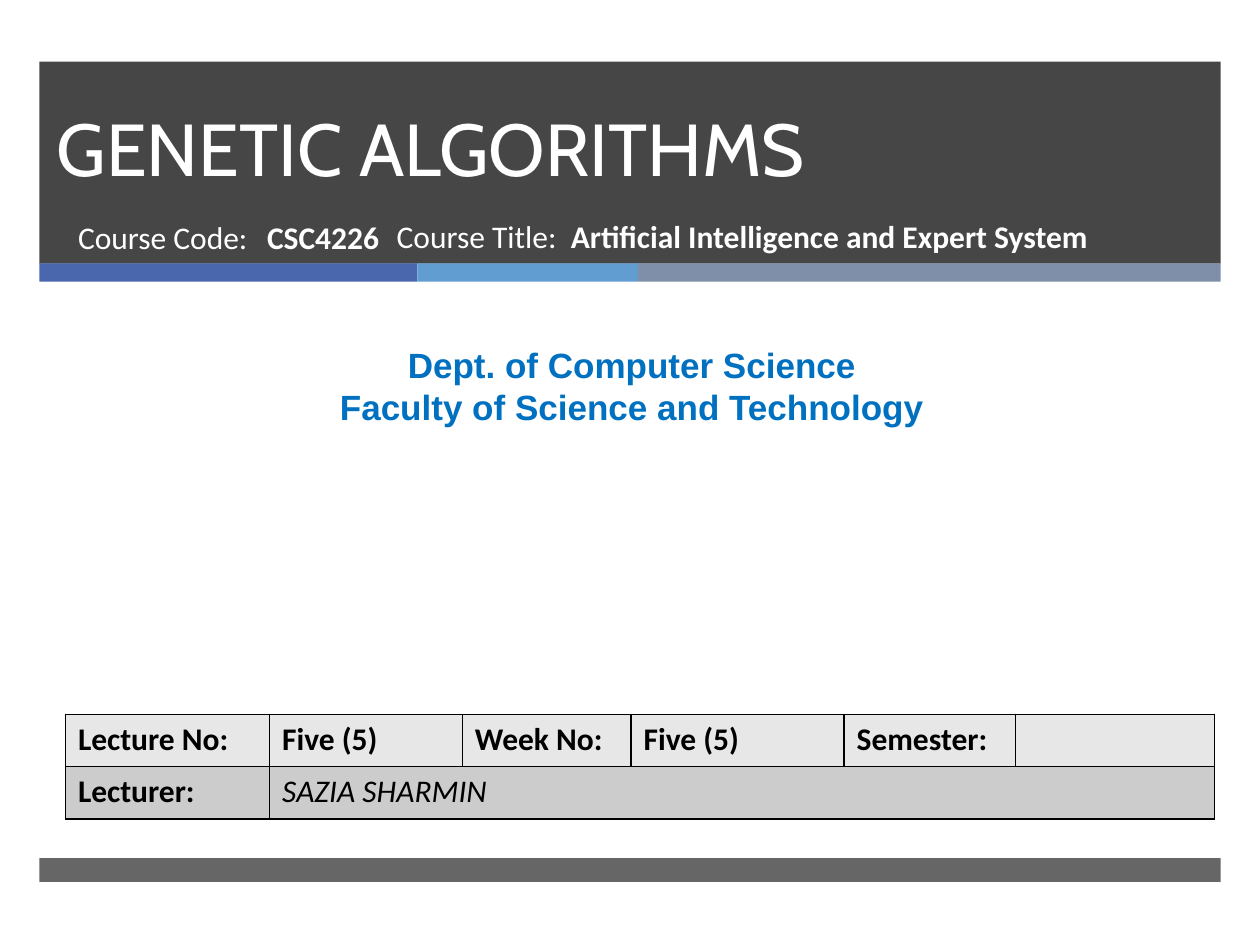
from lxml import etree
from pptx import Presentation
from pptx import util as u
from pptx.dml.color import RGBColor
from pptx.enum import shapes, text
from pptx.oxml import ns

Pt = u.Pt
WHITE, BLACK, CHARCOAL, BLUE = "FFFFFF", "000000", "262626", "0070C0"


def paint(target, color):
    if hasattr(target, "solid"):
        target.solid()
        target = target.fore_color
    else:
        target = target.color
    target.rgb = RGBColor.from_string(color)


def write(paragraph, words, font, size, color, bold=False, italic=False):
    run = paragraph.add_run()
    run.text = words
    run.font.name, run.font.size = font, Pt(size)
    run.font.bold, run.font.italic = bold, italic
    paint(run.font, color)


deck = Presentation()
deck.slide_width, deck.slide_height = Pt(720), Pt(540)
slide = deck.slides.add_slide(deck.slide_layouts[0])
paint(slide.background.fill, WHITE)

bands = [
    (22.5, 35.2, 675, 115.5, CHARCOAL, 85),
    (22.5, 150.5, 216, 10.5, "4A66AC", 100),
    (238.5, 150.5, 126, 10.5, "629DD1", 100),
    (364.5, 150.5, 333, 10.5, "7F8FA9", 100),
    (22.5, 490.3, 675, 13.7, CHARCOAL, 70),
]
for left, top, width, height, color, opacity in bands:
    band = slide.shapes.add_shape(
        shapes.MSO_SHAPE.RECTANGLE, Pt(left), Pt(top), Pt(width), Pt(height))
    band.shadow.inherit = False
    band.line.fill.background()
    paint(band.fill, color)
    if opacity < 100:
        tint = next(band.element.iter(ns.qn("a:srgbClr")))
        etree.SubElement(tint, ns.qn("a:alpha"), val=str(opacity * 1000))

heading, course_code = slide.placeholders
for holder in (heading, course_code):
    slide.shapes.element.append(holder.element)
heading.left, heading.top, heading.width, heading.height = Pt(25.2), Pt(27.4), Pt(615), Pt(85.7)
course_code.left, course_code.top = Pt(37.4), Pt(121)
course_code.width, course_code.height = Pt(219.6), Pt(38.2)
course_title = slide.shapes.add_textbox(Pt(219.6), Pt(120.4), Pt(411.8), Pt(38.2))
department = slide.shapes.add_textbox(Pt(5.8), Pt(193), Pt(710.6), Pt(55.4))

for box in (heading, course_code, course_title, department):
    box.text_frame.word_wrap = True
    box.text_frame.auto_size = text.MSO_AUTO_SIZE.NONE
    box.text_frame.vertical_anchor = text.MSO_ANCHOR.TOP

heading.text_frame.vertical_anchor = text.MSO_ANCHOR.BOTTOM
heading_line = heading.text_frame.paragraphs[0]
heading_line.alignment = text.PP_ALIGN.LEFT
heading_line.line_spacing = Pt(46)
write(heading_line, "GENETIC ALGORITHMS", "Cabin", 42, WHITE)

course_facts = [
    (course_code, "Course Code:", "CSC4226", 104.7),
    (course_title, "Course Title:", "Artificial Intelligence and Expert System", 99.5),
]
for box, label, value, stop in course_facts:
    line = box.text_frame.paragraphs[0]
    line.alignment = text.PP_ALIGN.LEFT
    line.space_before = Pt(0)
    tabs = etree.SubElement(line._p.get_or_add_pPr(), ns.qn("a:tabLst"))
    etree.SubElement(tabs, ns.qn("a:tab"), pos=str(Pt(stop)), algn="l")
    write(line, label + "\t", "Calibri", 18, WHITE)
    write(line, value, "Calibri", 18, WHITE, bold=True)

for index, words in enumerate(["Dept. of Computer Science", "Faculty of Science and Technology"]):
    frame = department.text_frame
    line = frame.add_paragraph() if index else frame.paragraphs[0]
    line.alignment = text.PP_ALIGN.CENTER
    write(line, words, "Arial", 20, BLUE, bold=True)

lecture_rows = [
    ["Lecture No:", "Five (5)", "Week No:", "Five (5)", "Semester:", ""],
    ["Lecturer:", "SAZIA SHARMIN", "", "", "", ""],
]
row_fills = ["E7E7E7", "CCCCCC"]
column_widths = [116.7, 110.1, 96.5, 121.7, 97.9, 113.7]
lecture_info = slide.shapes.add_table(
    2, 6, Pt(37.4), Pt(408.2), Pt(sum(column_widths)), Pt(59.8)).table
lecture_info.first_row = lecture_info.horz_banding = False
for column, width in zip(lecture_info.columns, column_widths):
    column.width = Pt(width)
lecture_info.cell(1, 1).merge(lecture_info.cell(1, 5))

for r, row in enumerate(lecture_rows):
    for c, words in enumerate(row):
        cell = lecture_info.cell(r, c)
        properties = cell._tc.get_or_add_tcPr()
        for side in ("lnL", "lnR", "lnT", "lnB"):
            border = etree.SubElement(properties, ns.qn("a:" + side), w=str(Pt(1)))
            stroke = etree.SubElement(border, ns.qn("a:solidFill"))
            etree.SubElement(stroke, ns.qn("a:srgbClr"), val=BLACK)
        paint(cell.fill, row_fills[r])
        if words:
            lecturer = (r, c) == (1, 1)
            write(cell.text_frame.paragraphs[0], words, "Calibri", 18, BLACK,
                  bold=not lecturer, italic=lecturer)

deck.save("out.pptx")
